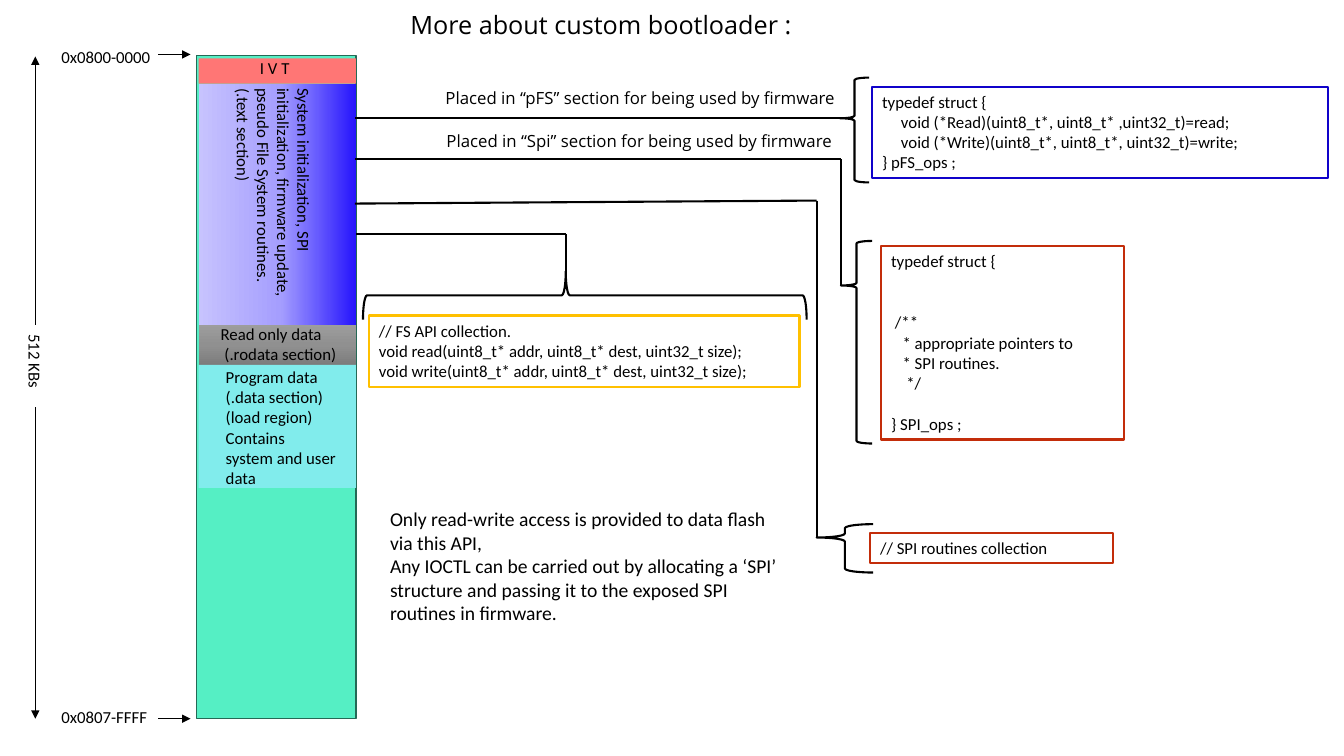
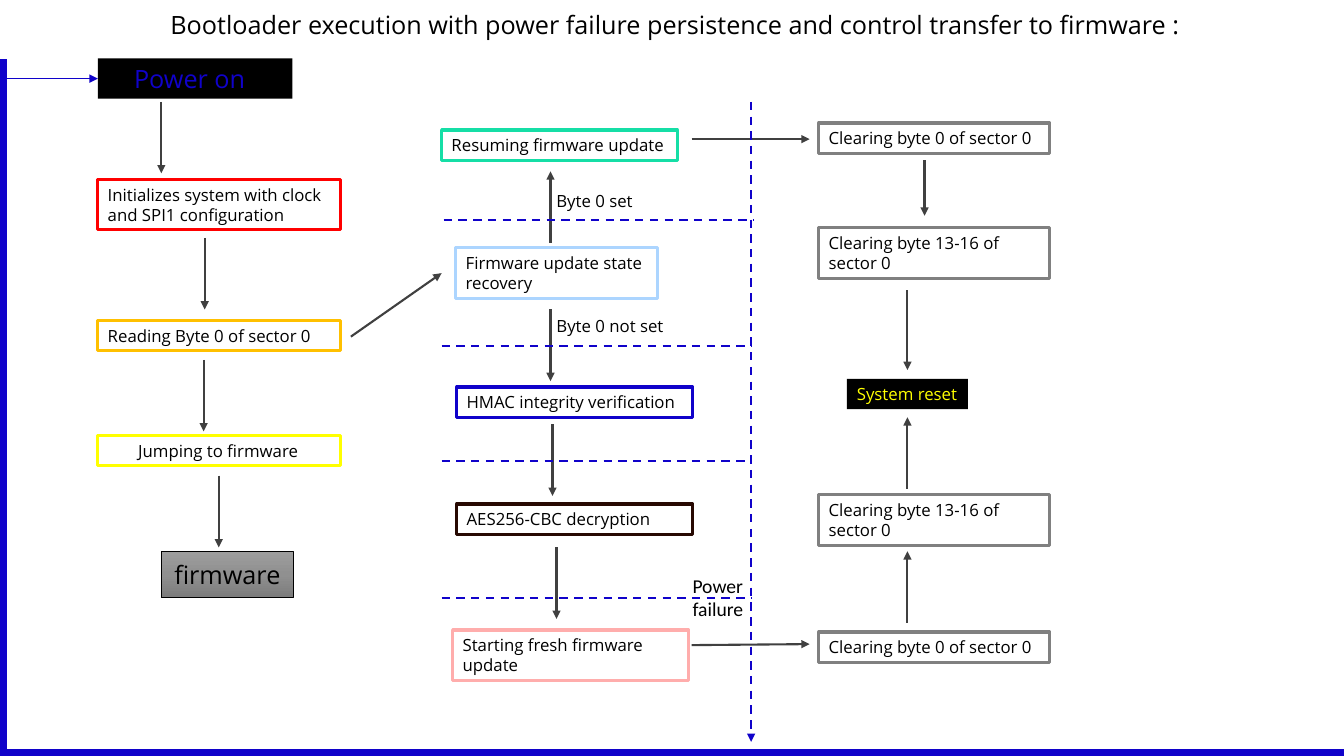
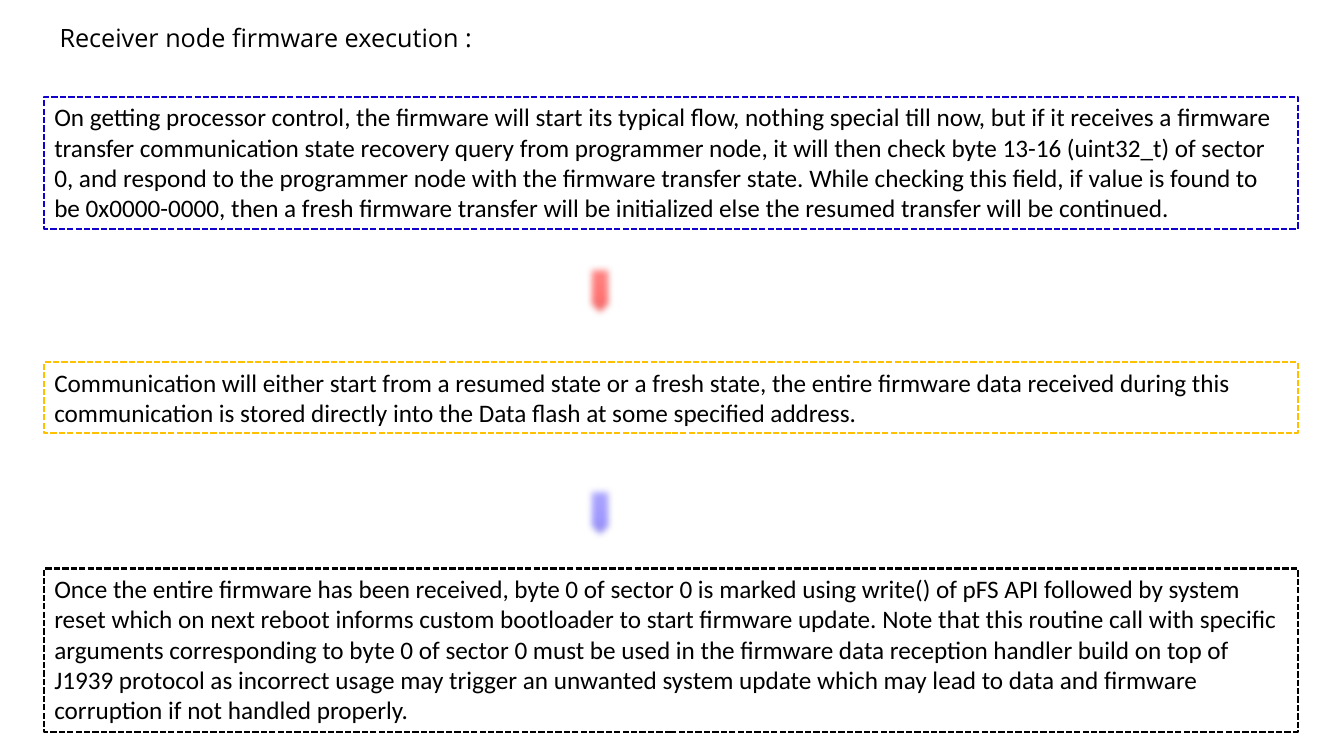
from itertools import accumulate, pairwise
from lxml.etree import SubElement
from pptx import Presentation
from pptx.dml.color import RGBColor
from pptx.enum.dml import MSO_LINE as Dash
from pptx.enum.shapes import MSO_CONNECTOR as Link, MSO_SHAPE as Geo
from pptx.enum.text import MSO_ANCHOR as Anchor, MSO_AUTO_SIZE as Fit, PP_ALIGN as Align
from pptx.oxml.ns import qn
from pptx.util import Inches, Pt

WIDE, HIGH = 13.33, 7.5
SANS, BODY = "Open Sans", "Calibri"
INK = {
    "black": "000000", "blue": "1002CA", "gold": "FFC000", "rust": "C32D0A",
    "red": "FF0000", "yellow": "FFFF00", "mint": "15DEA6", "gray": "808080",
    "sky": "ACD5FF", "brown": "270902", "pink": "FFADAC", "arrow": "404040",
    "flash": "55EFC4", "rim": "256956", "coral": "FF7675", "aqua": "81ECEC",
    "lilac": "A29BFE",
}
FADE = {
    "violet": (0, ("C7C3FE", 0), ("A59EFE", 52), ("2615FD", 100)),
    "steel": (270, ("9D9D9D", 0), ("909090", 50), ("7C7C7C", 100)),
    "warm": (270, ("FF8A89", 0), ("FF7675", 50), ("E56766", 100)),
    "cool": (270, ("B0AAFF", 0), ("A19AFF", 50), ("8D87E5", 100)),
}

TITLES = [
    ("More about custom bootloader :", (3.97, 0.04, 4.1, 0.42)),
    ("Bootloader execution with power failure persistence and control transfer to firmware :",
     (1.59, 0.04, 11.05, 0.4)),
    ("Receiver node firmware execution :", (0.49, 0.17, 6.26, 0.4)),
]

BAR = (1.95, 0.55, 1.58, 6.58)
BANDS = [("coral", 0.25), ("violet", 2.39), ("steel", 0.4), ("aqua", 1.22)]
LABELS = [
    ((2.48, 0.52, 0.71, 0.3), "I V T", 0),
    ((1.45, 1.58, 2.52, 0.91),
     "System initialization, SPI initialization, firmware update, pseudo File System routines.\n"
     "(.text section)", 90),
    ((2.09, 3.16, 1.51, 0.51), "Read only data\n (.rodata section)", 0),
    ((2.14, 3.59, 1.29, 1.35),
     "Program data\n(.data section)\n(load region)\nContains system and user data", 0),
    ((0.51, 0.41, 1.5, 0.3), "0x0800-0000", 0),
    ((0.51, 6.96, 1.5, 0.3), "0x0807-FFFF", 0),
    ((-0.23, 3.65, 1.16, 0.3), "512 KBs", 90),
]
RULERS = [
    (1.57, 0.54, 1.89, 0.54), (1.57, 7.13, 1.89, 7.13),
    (0.35, 4.04, 0.35, 7.13), (0.35, 3.22, 0.35, 0.56),
]
PATHS = [
    [(8.35, 1.17), (3.52, 1.17)],
    [(3.52, 1.58), (8.34, 1.58), (8.34, 2.84)],
    [(3.52, 2.02), (8.1, 1.99), (8.1, 5.33)],
    [(3.53, 2.32), (5.61, 2.32), (5.61, 2.69)],
]
BRACES = [
    ((8.33, 0.77, 0.29, 1.04), 0.388, 0),
    ((8.34, 2.39, 0.31, 2.01), 0.22, 0),
    ((8.1, 5.2, 0.56, 0.48), 0.277, 0),
    ((5.56, 0.73, 0.48, 4.4), 0.543, 90),
]
CODE = [
    ((8.65, 0.86, 4.52, 0.91), "blue",
     "typedef struct {\n"
     "     void (*Read)(uint8_t*, uint8_t* ,uint32_t)=read;\n"
     "     void (*Write)(uint8_t*, uint8_t*, uint32_t)=write;\n"
     "} pFS_ops ;", {}),
    ((8.74, 2.44, 2.41, 1.92), "rust",
     "typedef struct {\n"
     " /**\n"
     "   * appropriate pointers to\n"
     "   * SPI routines.\n"
     "    */\n"
     "} SPI_ops ;", {1: 2, 5: 1}),
    ((3.66, 3.13, 4.27, 0.71), "gold",
     "// FS API collection.\n"
     "void read(uint8_t* addr, uint8_t* dest, uint32_t size);\n"
     "void write(uint8_t* addr, uint8_t* dest, uint32_t size);", {}),
    ((8.63, 5.29, 2.41, 0.3), "rust", "// SPI routines collection", {}),
]
LEAD = 14.65
PLACED = [("pFS", 4.32, 0.82), ("Spi", 4.33, 1.25)]
ACCESS = (
    "Only read-write access is provided to data flash via this API,\n"
    "Any IOCTL can be carried out by allocating a ‘SPI’ structure and passing it "
    "to the exposed SPI routines in firmware."
)

TALL = {1: 0.3, 2: 0.5}
ONE, TWO, END = (0.97, 2.41), (4.53, 2.34), (8.12, 2.29)
STEPS = [
    (ONE, 1.78, 2, "red", "Initializes system with clock and SPI1 configuration", 0.1),
    (ONE, 3.18, 1, "gold", "Reading Byte 0 of sector 0", 0.1),
    (ONE, 4.32, 1, "yellow", "Jumping to firmware", 0.4),
    ((4.38, 2.34), 1.29, 1, "mint", "Resuming firmware update", 0.1),
    ((4.52, 2), 2.46, 2, "sky", "Firmware update state recovery", 0.1),
    (TWO, 3.84, 1, "blue", "HMAC integrity verification", 0.1),
    (TWO, 5, 1, "brown", "AES256-CBC decryption", 0.1),
    ((4.49, 2.34), 6.25, 2, "pink", "Starting fresh firmware update", 0.1),
    (END, 1.22, 1, "gray", "Clearing byte 0 of sector 0", 0.1),
    (END, 2.26, 2, "gray", "Clearing byte 13-16 of sector 0", 0.1),
    (END, 4.91, 2, "gray", "Clearing byte 13-16 of sector 0", 0.1),
    (END, 6.27, 1, "gray", "Clearing byte 0 of sector 0", 0.1),
]
HOP = 0.71
DOWN = [(1.6, 1.01), (2.03, 2.36), (2.02, 3.57), (2.17, 4.72),
        (5.46, 3.07), (5.48, 4.21), (5.52, 5.43)]
UP = [(5.46, 2.41), (9, 4.85), (9, 6.18)]
FLOWS = [
    (3.48, 3.34, 4.38, 2.71), (6.86, 1.38, 8.03, 1.38), (6.86, 6.4, 8.03, 6.39),
    (9.17, 1.59, 9.17, 2.14), (9, 2.88, 9, 3.67),
]
FLOWS += [(x, y, x, y + HOP) for x, y in DOWN] + [(x, y, x, y - HOP) for x, y in UP]
CUTS = [(4.4, 2.18), (4.38, 3.43), (4.38, 4.57), (4.38, 5.93)]
SPAN = 3.07
NOTES = [
    ((5.42, 1.84, 1.23, 0.3), "Byte 0 set", 12, SANS),
    ((5.42, 3.08, 1.55, 0.3), "Byte 0 not set", 12, SANS),
    ((6.77, 5.64, 1.11, 0.57), "Power failure", 14, BODY),
]

STAGES = [
    (0.96, 1.31, "blue",
     "On getting processor control, the firmware will start its typical flow, nothing special "
     "till now, but if it receives a firmware transfer communication state recovery query from "
     "programmer node, it will then check byte 13-16 (uint32_t) of sector 0, and respond to the "
     "programmer node with the firmware transfer state. While checking this field, if value is "
     "found to be 0x0000-0000, then a fresh firmware transfer will be initialized else the "
     "resumed transfer will be continued."),
    (3.59, 0.71, "gold",
     "Communication will either start from a resumed state or a fresh state, the entire firmware "
     "data received during this communication is stored directly into the Data flash at some "
     "specified address."),
    (5.64, 1.62, "black",
     "Once the entire firmware has been received, byte 0 of sector 0 is marked using write() of "
     "pFS API followed by system reset which on next reboot informs custom bootloader to start "
     "firmware update. Note that this routine call with specific arguments corresponding to "
     "byte 0 of sector 0 must be used in the firmware data reception handler build on top of "
     "J1939 protocol as incorrect usage may trigger an unwanted system update which may lead to "
     "data and firmware corruption if not handled properly."),
]
DROPS = [(2.62, "warm", "coral"), (4.82, "cool", "lilac")]


def rgb(name):
    return RGBColor.from_string(INK[name])


def stroke(line, name, width, dash=None):
    line.color.rgb = rgb(name)
    line.width = Pt(width)
    if dash:
        line.dash_style = dash


def paint(shape, name):
    if name not in FADE:
        shape.fill.solid()
        shape.fill.fore_color.rgb = rgb(name)
        return
    angle, *stops = FADE[name]
    shape.fill.gradient()
    shape.fill.gradient_angle = angle
    ramp = shape.element.spPr.find(".//" + qn("a:gsLst"))
    for old in list(ramp):
        ramp.remove(old)
    for tone, spot in stops:
        stop = SubElement(ramp, qn("a:gs"), pos=str(spot * 1000))
        SubElement(stop, qn("a:srgbClr"), val=tone)


def form(slide, at, geo=Geo.RECTANGLE, fill=None, edge=None, width=1.5, dash=None, turn=0):
    shape = slide.shapes.add_shape(geo, *map(Inches, at))
    shape.shadow.inherit = False
    shape.rotation = turn
    if fill:
        paint(shape, fill)
    else:
        shape.fill.background()
    if edge:
        stroke(shape.line, edge, width, dash)
    else:
        shape.line.fill.background()
    return shape


def write(shape, text, size=12, font=BODY, ink="black", inset=0.1,
          anchor=Anchor.TOP, align=Align.LEFT):
    frame = shape.text_frame
    frame.text = text
    frame.word_wrap = True
    frame.auto_size = Fit.NONE
    frame.vertical_anchor = anchor
    frame.margin_left = Inches(inset)
    for para in frame.paragraphs:
        para.alignment = align
        for run in para.runs:
            run.font.size = Pt(size)
            run.font.name = font
            run.font.color.rgb = rgb(ink)
    return shape


def label(slide, at, text, size=12, font=BODY, turn=0):
    box = slide.shapes.add_textbox(*map(Inches, at))
    box.rotation = turn
    write(box, text, size, font)


def wire(slide, ends, ink="black", width=1.5, dash=None, head=False):
    link = slide.shapes.add_connector(Link.STRAIGHT, *map(Inches, ends))
    stroke(link.line, ink, width, dash)
    props = link.element.spPr
    if head:
        SubElement(props.find(qn("a:ln")), qn("a:tailEnd"), type="triangle")
    SubElement(props, qn("a:effectLst"))
    return link


def start(deck, title, at):
    slide = deck.slides.add_slide(deck.slide_layouts[5])
    head = slide.shapes.title
    head.left, head.top, head.width, head.height = map(Inches, at)
    write(head, title, 18, SANS)
    return slide


def memory(slide):
    form(slide, BAR, fill="flash", edge="rim", width=1)
    tops = accumulate((tall for _, tall in BANDS), initial=0.58)
    for (fill, tall), top in zip(BANDS, tops):
        form(slide, (1.97, top, 1.56, tall), fill=fill)
    for at, text, turn in LABELS:
        label(slide, at, text, turn=turn)
    for ends in RULERS:
        wire(slide, ends, width=0.5, head=True)
    for points in PATHS:
        for a, b in pairwise(points):
            wire(slide, a + b)
    for at, mid, turn in BRACES:
        brace = form(slide, at, Geo.LEFT_BRACE, edge="black", turn=turn)
        brace.adjustments[0], brace.adjustments[1] = 0.083, mid
    for at, edge, text, gaps in CODE:
        box = write(form(slide, at, edge=edge), text)
        for row, lines in gaps.items():
            box.text_frame.paragraphs[row].space_before = Pt(lines * LEAD)
    for name, x, y in PLACED:
        label(slide, (x, y, 4.08, 0.3),
              f"Placed in “{name}” section for being used by firmware", font=SANS)
    label(slide, (3.77, 4.98, 4.14, 1.28), ACCESS, 14)


def flow(slide):
    power = form(slide, (0.97, 0.58, 1.93, 0.4), fill="black")
    write(power, "Power on", 18, SANS, "blue", 0.36)
    wire(slide, (0.03, 0.59, 0.03, HIGH), "blue", 6)
    wire(slide, (WIDE, 7.47, 0.02, 7.47), "blue", 6)
    entry = wire(slide, (0.02, 0.78, 0.97, 0.78), "blue", 0.5, head=True)
    entry.end_connect(power, 1)
    goal = form(slide, (1.6, 5.47, 1.31, 0.46), fill="steel", edge="black", width=0.5)
    write(goal, "firmware", 18, SANS, anchor=Anchor.MIDDLE, align=Align.CENTER)
    reset = form(slide, (8.4, 3.76, 1.2, 0.3), fill="black")
    write(reset, "System reset", 12, SANS, "yellow")
    for (x, wide), y, rows, edge, text, inset in STEPS:
        box = form(slide, (x, y, wide, TALL[rows]), edge=edge, width=2.25)
        write(box, text, 12, SANS, inset=inset)
    for ends in FLOWS:
        wire(slide, ends, "arrow", head=True)
    for x, y in CUTS:
        wire(slide, (x, y, x + SPAN, y), "blue", dash=Dash.DASH)
    wire(slide, (7.45, 1.01, 7.45, 7.36), "blue", dash=Dash.DASH, head=True)
    for note in NOTES:
        label(slide, *note)


def receiver(slide):
    for y, tall, edge, text in STAGES:
        box = form(slide, (0.44, y, 12.43, tall), edge=edge, dash=Dash.SQUARE_DOT)
        write(box, text, 18)
    for y, fill, edge in DROPS:
        drop = form(slide, (5.66, y, 0.58, 0.61), Geo.DOWN_ARROW, fill, edge, 0.5)
        effect = drop.element.spPr.find(qn("a:effectLst"))
        SubElement(effect, qn("a:softEdge"), rad=str(Pt(5)))


def main():
    deck = Presentation()
    deck.slide_width, deck.slide_height = Inches(WIDE), Inches(HIGH)
    for (title, at), draw in zip(TITLES, (memory, flow, receiver)):
        draw(start(deck, title, at))
    deck.save("out.pptx")


if __name__ == "__main__":
    main()
